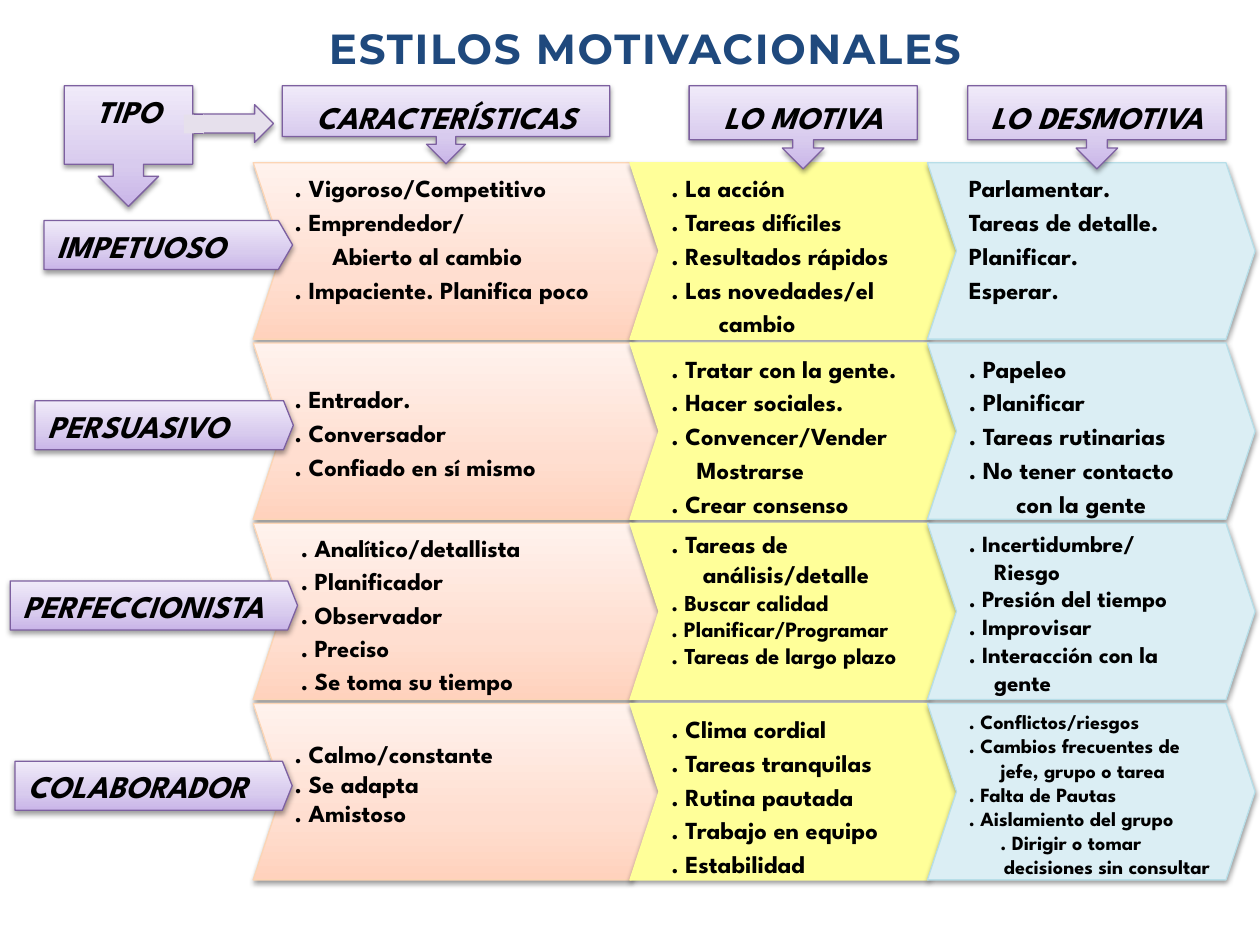
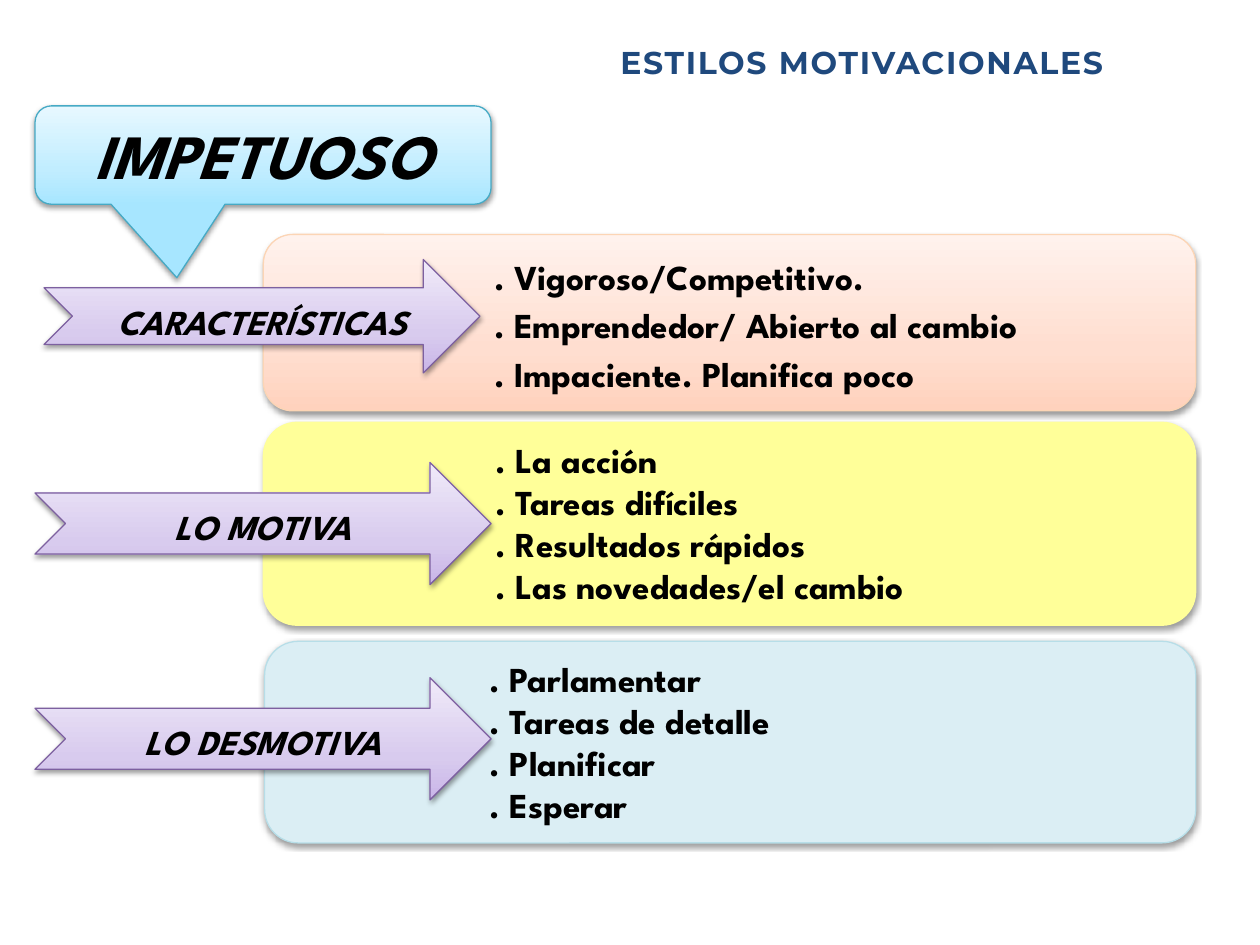
from dataclasses import dataclass
from typing import Any, Optional

from pptx import Presentation
from pptx import util as u
from pptx.dml import color
from pptx.enum import shapes, text
from pptx.oxml import parse_xml
from pptx.oxml import ns

Pt = u.Pt
KIND = shapes.MSO_SHAPE
ALIGN = text.PP_ALIGN

COLOURS = {
    "title": "1F497D", "ink": "000000",
    "peach line": "FCD5B5", "yellow": "FFFF99",
    "ice": "DBEEF4", "ice line": "B7DEE8",
    "lilac": "E6E0EC", "purple line": "7D60A0", "sky line": "46AAC5",
}
GRADIENTS = {
    "peach": ("FFD2BD", "FFDED0", "FFF2ED"),
    "purple": ("C9B5E8", "D8CBEE", "F0EAF9"),
    "sky": ("A7E6FF", "C1EDFF", "E7F8FF"),
}
STOPS = (0, 35, 100)
BODY = {"name": "League Spartan", "bold": True, "italic": False}
LABEL = {"name": "League Spartan", "bold": True, "italic": True}
TITLE = {"name": "Montserrat", "bold": True, "italic": False}
TITLE_TEXT = "ESTILOS MOTIVACIONALES"
LINE_WIDTH = 0.75


@dataclass(frozen=True)
class Area:
    left: float
    top: float
    width: float
    height: float


@dataclass(frozen=True)
class Look:
    fill: str
    line: Optional[str] = None


@dataclass(frozen=True)
class Line:
    text: str
    size: Optional[float] = None
    start: float = 0
    hang: Optional[float] = None


@dataclass(frozen=True)
class Cell:
    lines: tuple[str | Line, ...]
    size: float = 14
    hang: float = 18
    spacing: Any = 1.15
    inset_top: float = 3.6


@dataclass(frozen=True)
class Column:
    left: float
    width: float
    look: Look


@dataclass(frozen=True)
class Style:
    name: str
    left: float
    width: float
    point: float
    cells: tuple[Cell, Cell, Cell]


@dataclass(frozen=True)
class Header:
    name: str
    area: Area
    spacing: float = 1.15


@dataclass(frozen=True)
class Section:
    name: str
    arrow: Area
    panel: Area
    look: Look
    cell: Cell


PEACH = Look("peach", "peach line")
YELLOW = Look("yellow", "yellow")
ICE = Look("ice", "ice line")
PURPLE = Look("purple", "purple line")

ROW_TOP, ROW_STEP, ROW_HEIGHT = 93, 103, 100.8
LABEL_DROP, LABEL_HEIGHT = 33, 28
COLUMNS = (
    Column(144.7, 232.6, PEACH),
    Column(360, 187.2, YELLOW),
    Column(530, 187.2, ICE),
)
STYLES = (
    Style("IMPETUOSO", 25.2, 142, 0.29, (
        Cell((". Vigoroso/Competitivo", ". Emprendedor/",
              Line("Abierto al cambio", start=21.5), ". Impaciente. Planifica poco")),
        Cell((". La acción", ". Tareas difíciles", ". Resultados rápidos",
              ". Las novedades/el cambio"), hang=27),
        Cell(("Parlamentar.", "Tareas de detalle.", "Planificar.", "Esperar.")),
    )),
    Style("PERSUASIVO", 20, 147.6, 0.2, (
        Cell((". Entrador.", ". Conversador", ". Confiado en sí mismo"), inset_top=21),
        Cell((". Tratar con la gente.", ". Hacer sociales.",
              ". Convencer/Vender Mostrarse", ". Crear consenso"), hang=14.4),
        Cell((". Papeleo", ". Planificar", ". Tareas rutinarias",
              ". No tener contacto con la gente"), hang=27),
    )),
    Style("PERFECCIONISTA", 5.8, 164.2, 0.2, (
        Cell(tuple(Line(item, start=3.5) for item in (
            ". Analítico/detallista", ". Planificador", ". Observador", ". Preciso",
            ". Se toma su tiempo")), spacing=Pt(19)),
        Cell((". Tareas de análisis/detalle", Line(". Buscar calidad", 13),
              Line(". Planificar/Programar", 12.5),
              Line(". Tareas de largo plazo", 13)), spacing=1.0),
        Cell((". Incertidumbre/", Line("Riesgo", start=14.4, hang=0),
              ". Presión del tiempo", ". Improvisar", ". Interacción con la gente"),
             size=13.2, hang=14.4, spacing=1.0),
    )),
    Style("COLABORADOR", 8.6, 158.4, 0.2, (
        Cell((". Calmo/constante", ". Se adapta", ". Amistoso"),
             spacing=1.0, inset_top=20.5),
        Cell((". Clima cordial", ". Tareas tranquilas", ". Rutina pautada",
              ". Trabajo en equipo", ". Estabilidad")),
        Cell((". Conflictos/riesgos", ". Cambios frecuentes de jefe, grupo o tarea",
              ". Falta de Pautas", ". Aislamiento del grupo",
              Line(". Dirigir o tomar", start=18, hang=0),
              Line("decisiones sin consultar", start=20, hang=0)),
             size=11.5, spacing=1.0),
    )),
)
HEADERS = (
    Header("TIPO", Area(36.7, 49, 73.4, 69), 1.0),
    Header("CARACTERÍSTICAS", Area(161.3, 49, 187.2, 44.6)),
    Header("LO MOTIVA", Area(393.8, 49, 130.3, 47.5)),
    Header("LO DESMOTIVA", Area(553, 49, 147.6, 47.5)),
)
SECTIONS = (
    Section("CARACTERÍSTICAS", Area(25.2, 148.3, 249.1, 64.8),
            Area(150.5, 134, 532.8, 100.8), PEACH,
            Cell(tuple(Line(item, start=120) for item in (
                ". Vigoroso/Competitivo.", ". Emprendedor/ Abierto al cambio",
                ". Impaciente. Planifica poco")), 20)),
    Section("LO MOTIVA", Area(20, 264.3, 260.6, 69.8),
            Area(150.5, 241.3, 532.8, 116), YELLOW,
            Cell(tuple(Line(item, start=120) for item in (
                ". La acción", ". Tareas difíciles", ". Resultados rápidos",
                ". Las novedades/el cambio")), 20, spacing=1.0)),
    Section("LO DESMOTIVA", Area(20, 387.3, 260.6, 69.8),
            Area(151.2, 366.5, 532.1, 115.2), ICE,
            Cell(tuple(Line(item, start=116) for item in (
                ". Parlamentar", ". Tareas de detalle", ". Planificar", ". Esperar")),
                20, spacing=1.0)),
)


def rgb(name: str) -> color.RGBColor:
    return color.RGBColor.from_string(COLOURS[name])


def place(item: Any, area: Area) -> None:
    for name in ("left", "top", "width", "height"):
        setattr(item, name, Pt(getattr(area, name)))


def format_span(span: Any, values: dict[str, Any], size: float, ink: str = "ink") -> None:
    for name, value in {**values, "size": Pt(size)}.items():
        setattr(span.font, name, value)
    span.font.color.rgb = rgb(ink)


def paint(shape: Any, fill: str) -> None:
    if fill not in GRADIENTS:
        shape.fill.solid()
        shape.fill.fore_color.rgb = rgb(fill)
        return
    shape.fill.background()
    stops = "".join(
        f'<a:gs pos="{stop * 1000}"><a:srgbClr val="{value}"/></a:gs>'
        for stop, value in zip(STOPS, GRADIENTS[fill]))
    gradient = parse_xml(
        f'<a:gradFill {ns.nsdecls("a")} rotWithShape="1"><a:gsLst>{stops}</a:gsLst>'
        '<a:lin ang="16200000" scaled="0"/></a:gradFill>')
    properties = shape.element.spPr
    properties.replace(properties.find(ns.qn("a:noFill")), gradient)


def add_shadow(shape: Any) -> None:
    shape.element.spPr.find(ns.qn("a:effectLst")).append(parse_xml(
        f'<a:outerShdw {ns.nsdecls("a")} blurRad="{Pt(3.1)}" dist="{Pt(1.6)}" '
        'dir="5400000" rotWithShape="0"><a:srgbClr val="000000">'
        '<a:alpha val="38000"/></a:srgbClr></a:outerShdw>'))


def add_box(page: Any, kind: Any, area: Area, look: Look,
            adjustments: tuple[float, ...] = ()) -> Any:
    box = page.shapes.add_shape(kind, 0, 0, 0, 0)
    place(box, area)
    paint(box, look.fill)
    box.shadow.inherit = False
    if look.line:
        box.line.color.rgb = rgb(look.line)
        box.line.width = Pt(LINE_WIDTH)
        add_shadow(box)
    else:
        box.line.fill.background()
    for index, value in enumerate(adjustments):
        box.adjustments[index] = value
    box.text_frame.word_wrap = True
    box.text_frame.vertical_anchor = text.MSO_ANCHOR.TOP
    return box


def write_cell(box: Any, cell: Cell) -> None:
    frame = box.text_frame
    frame.margin_top = Pt(cell.inset_top)
    for index, item in enumerate(cell.lines):
        line = item if isinstance(item, Line) else Line(item)
        hang = cell.hang if line.hang is None else line.hang
        para = frame.add_paragraph() if index else frame.paragraphs[0]
        para.alignment = ALIGN.LEFT
        para.line_spacing = cell.spacing
        properties = para._p.get_or_add_pPr()
        properties.set("marL", str(Pt(line.start + hang)))
        properties.set("indent", str(-Pt(hang)))
        span = para.add_run()
        span.text = line.text
        format_span(span, BODY, line.size or cell.size)


def write_label(box: Any, name: str, size: float, align: Any = ALIGN.CENTER,
                spacing: float = 1.0) -> None:
    para = box.text_frame.paragraphs[0]
    para.alignment = align
    para.line_spacing = spacing
    span = para.add_run()
    span.text = name
    format_span(span, LABEL, size)


def add_page(deck: Any, area: Area, size: float, align: Any) -> Any:
    page = deck.slides.add_slide(deck.slide_layouts[5])
    title = page.shapes.title
    place(title, area)
    title.text_frame.auto_size = text.MSO_AUTO_SIZE.NONE
    title.text_frame.word_wrap = True
    para = title.text_frame.paragraphs[0]
    para.alignment = align
    span = para.add_run()
    span.text = TITLE_TEXT
    format_span(span, TITLE, size, "title")
    span._r.get_or_add_rPr().set("spc", "100")
    return page


def add_rule(page: Any, left: float, right: float, top: float) -> None:
    rule = page.shapes.add_connector(
        shapes.MSO_CONNECTOR.STRAIGHT, Pt(left), Pt(top), Pt(right), Pt(top))
    rule.line.color.rgb = rgb("purple line")
    rule.line.width = Pt(LINE_WIDTH)
    rule.element.spPr.append(parse_xml(f'<a:effectLst {ns.nsdecls("a")}/>'))


def build_overview(deck: Any) -> None:
    page = add_page(deck, Area(150.5, 9.4, 436.3, 36), 24, ALIGN.CENTER)
    for row, style in enumerate(STYLES):
        top = ROW_TOP + row * ROW_STEP
        for column, cell in zip(COLUMNS, style.cells):
            chevron = add_box(page, KIND.CHEVRON,
                              Area(column.left, top, column.width, ROW_HEIGHT),
                              column.look, (0.165,))
            write_cell(chevron, cell)
        label = add_box(page, KIND.PENTAGON,
                        Area(style.left, top + LABEL_DROP, style.width, LABEL_HEIGHT),
                        PURPLE, (style.point,))
        write_label(label, style.name, 18, ALIGN.LEFT)
    add_box(page, KIND.STRIPED_RIGHT_ARROW, Area(99.4, 59.8, 56.9, 21.6),
            Look("lilac", "purple line"))
    for header in HEADERS:
        callout = add_box(page, KIND.DOWN_ARROW_CALLOUT, header.area, PURPLE)
        write_label(callout, header.name, 18, spacing=header.spacing)
    joint = Area(105.1, 65.5, 11.5, 10.8)
    add_box(page, KIND.RECTANGLE, joint, Look("lilac"))
    for top in (joint.top, joint.top + joint.height):
        add_rule(page, 110.9, 115.9, top)


def build_impetuous(deck: Any) -> None:
    page = add_page(deck, Area(93.6, 20.9, 544.3, 28.8), 18, ALIGN.RIGHT)
    callout = add_box(page, KIND.ROUNDED_RECTANGULAR_CALLOUT, Area(20, 60.5, 260.6, 56.2),
                      Look("sky", "sky line"), (-0.189, 1.247, 0.167))
    write_label(callout, "IMPETUOSO", 36)
    for section in SECTIONS:
        panel = add_box(page, KIND.FLOWCHART_ALTERNATE_PROCESS, section.panel, section.look)
        write_cell(panel, section.cell)
        arrow = add_box(page, KIND.NOTCHED_RIGHT_ARROW, section.arrow, PURPLE)
        write_label(arrow, section.name, 20, spacing=1.15)


def main() -> None:
    deck = Presentation()
    deck.slide_width, deck.slide_height = Pt(720), Pt(540)
    build_overview(deck)
    build_impetuous(deck)
    deck.save("out.pptx")


if __name__ == "__main__":
    main()
